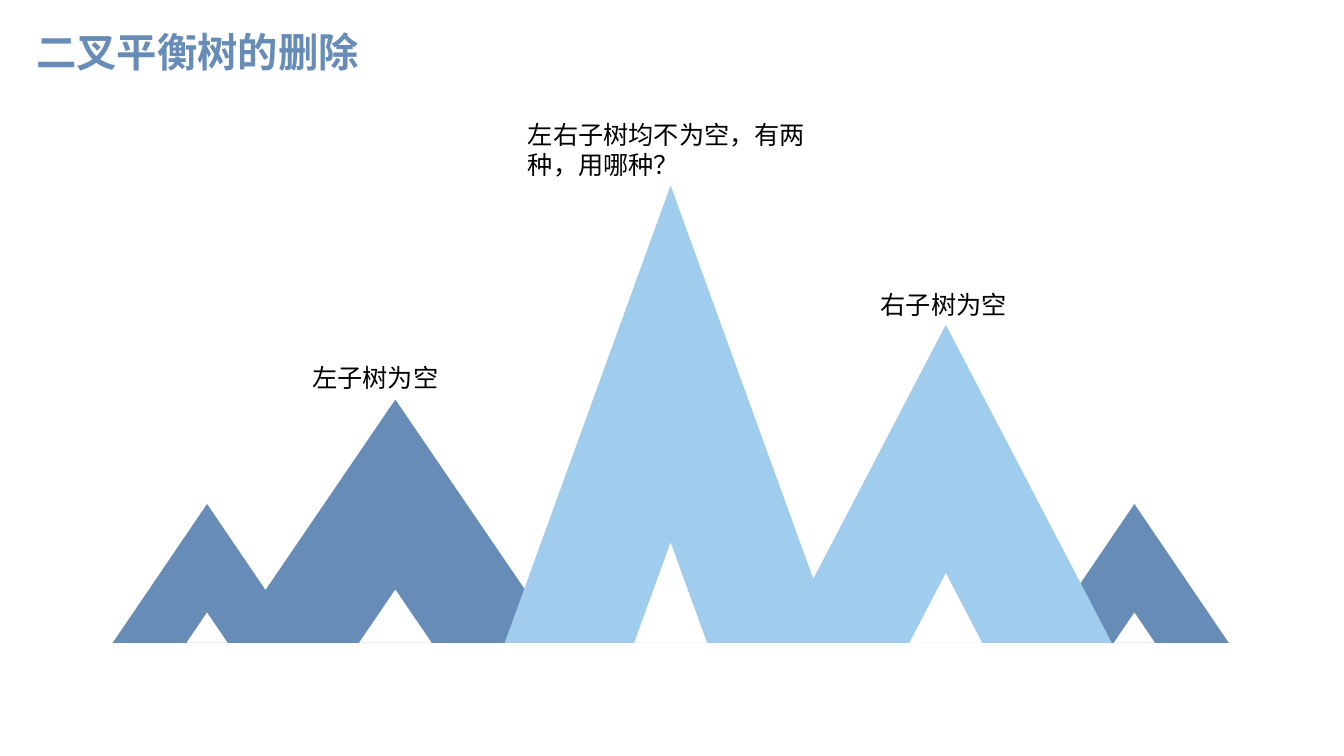
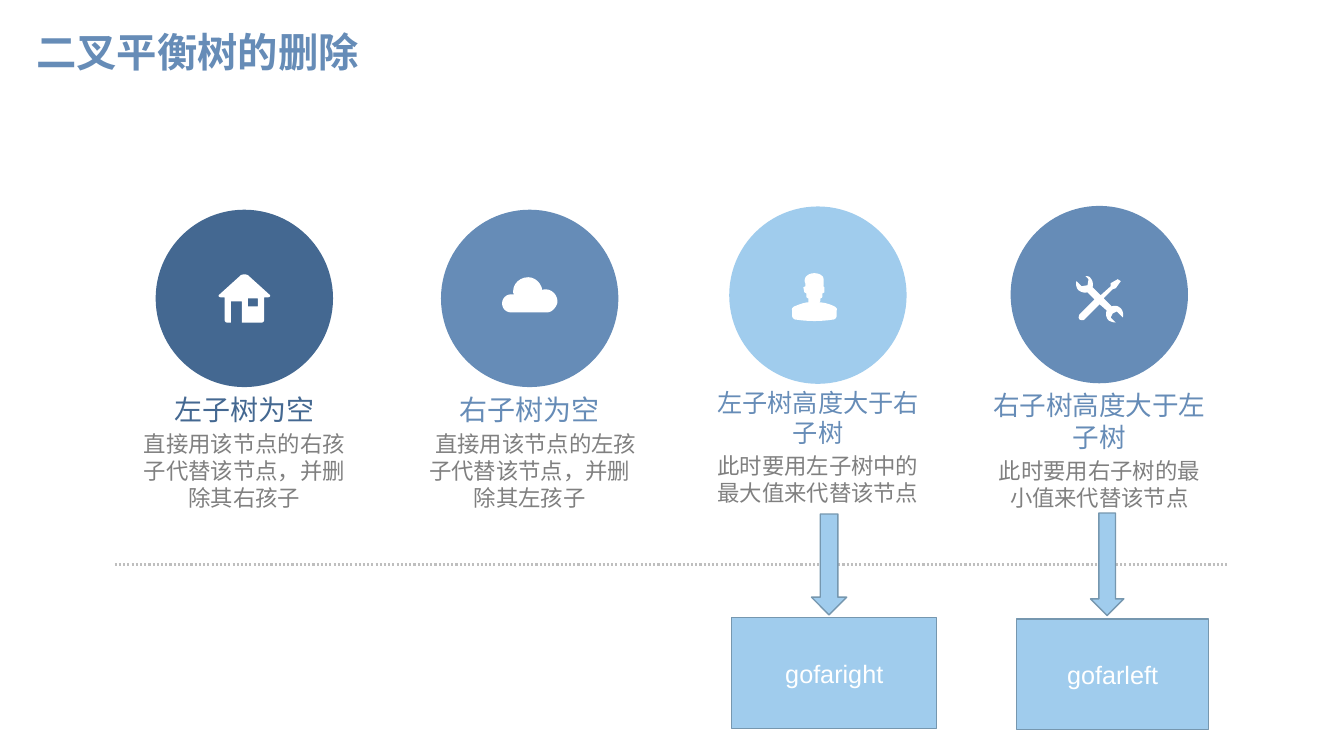
"""Builds two slides on deleting nodes from a balanced binary tree."""
from pptx import Presentation
from pptx.dml.color import RGBColor
from pptx.enum.dml import MSO_LINE
from pptx.enum.shapes import MSO_CONNECTOR, MSO_SHAPE
from pptx.enum.text import MSO_ANCHOR, MSO_AUTO_SIZE, PP_ALIGN
from pptx.oxml.ns import qn
from pptx.util import Pt
from lxml import etree

NAVY, BLUE, SKY, EDGE = "446891", "668CB7", "A0CCED", "7697AF"
WHITE, BLACK, GRAY, SILVER = "FFFFFF", "000000", "808080", "BFBFBF"
CJK = "Noto Sans CJK SC"

TITLE = "二叉平衡树的删除"
TITLE_BOX = (18.7, 16.6, 828, 44.6)
TITLE_FONT = {"name": "Montserrat", "size": Pt(28.8), "bold": True}
LABEL_FONT = {"name": "Arial", "size": Pt(18)}

BASE_Y = 459.2
HOLE_RATIO = 0.22
MOUNTAINS = [
    (810.3, 360, 67.4, BLUE),
    (147.9, 360, 67.4, BLUE),
    (282.4, 285.4, 118.5, BLUE),
    (479, 132.5, 118.5, SKY),
    (675.6, 232, 118.5, SKY),
]
PEAK_LABELS = [
    ("左子树为空", (216, 255.6, 107.3, 28.8)),
    ("右子树为空", (622, 203, 107.3, 28.8)),
    ("左右子树均不为空，有两种，用哪种？", (370, 81.4, 217.4, 51)),
]

HOUSE = [
    [(51, 20), (30, 1), (28, 0, 25, 0, 23, 1), (2, 20), (0, 21, 1, 23, 3, 23), (7, 23),
     (7, 46), (7, 47, 8, 48, 9, 48), (13, 48), (13, 27), (24, 27), (24, 48), (44, 48),
     (45, 48, 46, 47, 46, 46), (46, 23), (50, 23), (52, 23, 53, 21, 51, 20)],
    [(40, 32), (30, 32), (30, 24), (40, 24)],
]
CLOUD = [
    [(55, 24), (55, 18, 50, 12, 43, 12), (42, 12, 41, 12, 40, 13), (39, 6, 33, 0, 26, 0),
     (18, 0, 11, 6, 11, 14), (11, 15, 11, 16, 12, 17), (9, 17), (4, 17, 0, 21, 0, 26),
     (0, 31, 4, 35, 9, 35), (44, 35), (47, 35, 49, 34, 51, 32), (53, 30, 55, 27, 55, 24)],
]
PERSON = [
    [(43, 34), (39, 32, 33, 30, 28, 30), (29, 29, 29, 28, 29, 26), (30, 26, 31, 25, 31, 24),
     (31, 21), (33, 20), (33, 15), (32, 14), (32, 12, 33, 6, 31, 4), (27, 0, 19, 0, 15, 4),
     (13, 6, 13, 10, 14, 11), (14, 14), (12, 15), (13, 20), (15, 21), (15, 24),
     (15, 25, 16, 26, 17, 26), (17, 28, 17, 29, 17, 30), (13, 30, 8, 32, 3, 34),
     (1, 35, 0, 37, 1, 38), (1, 44), (1, 45, 3, 47, 4, 47), (17, 49, 29, 49, 42, 47),
     (43, 47, 45, 45, 45, 44), (45, 38), (46, 37, 45, 35, 43, 34)],
]
TOOLS = [
    [(45, 32), (42, 29, 39, 29, 36, 30), (28, 22), (37, 13), (40, 12), (45, 5), (42, 3),
     (35, 7), (35, 10), (25, 19), (17, 11), (18, 8, 17, 4, 15, 2), (14, 0, 12, 0, 10, 0),
     (13, 3), (12, 9), (6, 10), (1, 5), (0, 8, 1, 12, 3, 14), (6, 16, 9, 17, 12, 16),
     (19, 23), (4, 38), (3, 40, 3, 42, 4, 43), (6, 44, 8, 44, 9, 43), (24, 28), (31, 34),
     (30, 37, 30, 41, 33, 44), (35, 45, 37, 46, 40, 46), (35, 41), (37, 37), (41, 35),
     (47, 41), (48, 38, 47, 34, 45, 32)],
]
ICON_UNIT = 0.72
CURVE_STEPS = 6

CIRCLE_SIZE = 126.7
CIRCLE_INSET = 21.2
CASE_WIDTH, CASE_HEIGHT = 169.2, 94
CASES = [
    {"left": 90, "text_top": 276.5, "circle_top": 149.8, "fill": NAVY, "color": NAVY,
     "size": 20, "indent": 0, "icon": HOUSE, "icon_at": (155.5, 195.8),
     "heading": "左子树为空", "body": "直接用该节点的右孩子代替该节点，并删除其右孩子"},
    {"left": 293.8, "text_top": 276.5, "circle_top": 149.8, "fill": BLUE, "color": BLUE,
     "size": 20, "indent": 8.6, "icon": CLOUD, "icon_at": (358.6, 198),
     "heading": "右子树为空", "body": "直接用该节点的左孩子代替该节点，并删除其左孩子"},
    {"left": 499.7, "text_top": 272.9, "circle_top": 147.5, "fill": SKY, "color": BLUE,
     "size": 18, "indent": 0, "icon": PERSON, "icon_at": (565.2, 194.4),
     "heading": "左子树高度大于右子树", "body": "此时要用左子树中的最大值来代替该节点"},
    {"left": 700.7, "text_top": 274.3, "circle_top": 147.1, "fill": BLUE, "color": BLUE,
     "size": 19, "indent": 0, "icon": TOOLS, "icon_at": (768.2, 197.3),
     "heading": "右子树高度大于左子树", "body": "此时要用右子树的最小值来代替该节点"},
]
DIVIDER = (82, 403.2, 878, 403.2)
STEPS = [
    ("gofaright", (579.6, 367.2, 25.2, 72), (522.7, 441.2, 146.4, 79)),
    ("gofarleft", (779, 366.5, 23.8, 73.2), (726.2, 442.2, 137, 78.8)),
]


def color(value):
    return RGBColor.from_string(value)


def points(values):
    return [Pt(value) for value in values]


def apply(target, values):
    for name, value in values.items():
        setattr(target, name, value)


def write(paragraph, text, font, text_color, **layout):
    paragraph.text = text
    apply(paragraph, layout)
    apply(paragraph.font, font)
    paragraph.font.color.rgb = color(text_color)


def paint(shape, fill, line=None):
    shape.shadow.inherit = False
    shape.fill.solid()
    shape.fill.fore_color.rgb = color(fill)
    if line:
        shape.line.color.rgb = color(line)
        shape.line.width = Pt(1)
    else:
        shape.line.fill.background()


def add_shape(slide, kind, box, fill, line=None):
    shape = slide.shapes.add_shape(kind, *points(box))
    paint(shape, fill, line)
    return shape


def add_outline(slide, contours, fill):
    contours = [[points(corner) for corner in contour] for contour in contours]
    builder = slide.shapes.build_freeform(*contours[0][0], scale=1.0)
    for index, contour in enumerate(contours):
        if index:
            builder.move_to(*contour[0])
        builder.add_line_segments(contour[1:], close=True)
    paint(builder.convert_to_shape(), fill)


def add_text(slide, box):
    frame = slide.shapes.add_textbox(*points(box)).text_frame
    frame.word_wrap = True
    return frame


def add_titled_slide(presentation):
    slide = presentation.slides.add_slide(presentation.slide_layouts[5])
    title = slide.shapes.title
    apply(title, dict(zip(("left", "top", "width", "height"), points(TITLE_BOX))))
    apply(title.text_frame, {"vertical_anchor": MSO_ANCHOR.MIDDLE, "auto_size": MSO_AUTO_SIZE.NONE})
    write(title.text_frame.paragraphs[0], TITLE, TITLE_FONT, BLUE,
          alignment=PP_ALIGN.LEFT, line_spacing=0.9)
    return slide


def triangle(x, top, half_width):
    return [(x, top), (x + half_width, BASE_Y), (x - half_width, BASE_Y)]


def flatten(contour):
    corners = [contour[0]]
    for step in contour[1:]:
        if len(step) == 2:
            corners.append(step)
            continue
        controls = [corners[-1], step[:2], step[2:4], step[4:]]
        for index in range(1, CURVE_STEPS + 1):
            t = index / CURVE_STEPS
            weights = ((1 - t) ** 3, 3 * t * (1 - t) ** 2, 3 * t * t * (1 - t), t ** 3)
            corners.append(tuple(sum(w * c[axis] for w, c in zip(weights, controls))
                                 for axis in (0, 1)))
    return corners


def add_icon(slide, icon, origin):
    add_outline(slide, [[(origin[0] + x * ICON_UNIT, origin[1] + y * ICON_UNIT)
                         for x, y in flatten(contour)] for contour in icon], WHITE)


def add_case(slide, case):
    frame = add_text(slide, (case["left"], case["text_top"], CASE_WIDTH, CASE_HEIGHT))
    write(frame.paragraphs[0], case["heading"], {"name": CJK, "size": Pt(case["size"])},
          case["color"], alignment=PP_ALIGN.CENTER)
    body = frame.add_paragraph()
    write(body, case["body"], {"name": CJK, "size": Pt(16)}, GRAY,
          alignment=PP_ALIGN.CENTER, space_before=Pt(3.2))
    if case["indent"]:
        body._p.get_or_add_pPr().set("indent", str(Pt(case["indent"])))
    add_shape(slide, MSO_SHAPE.OVAL, (case["left"] + CIRCLE_INSET, case["circle_top"],
                                      CIRCLE_SIZE, CIRCLE_SIZE), case["fill"])
    add_icon(slide, case["icon"], case["icon_at"])


def add_divider(slide):
    divider = slide.shapes.add_connector(MSO_CONNECTOR.STRAIGHT, *points(DIVIDER))
    divider.line.color.rgb = color(SILVER)
    apply(divider.line, {"width": Pt(1.5), "dash_style": MSO_LINE.ROUND_DOT})
    etree.SubElement(divider._element.spPr, qn("a:effectLst"))


def build_mountains(presentation):
    slide = add_titled_slide(presentation)
    for x, top, half_width, fill in MOUNTAINS:
        hole_top = BASE_Y - (BASE_Y - top) * HOLE_RATIO
        add_outline(slide, [triangle(x, top, half_width),
                            triangle(x, hole_top, half_width * HOLE_RATIO)], fill)
    for text, box in PEAK_LABELS:
        write(add_text(slide, box).paragraphs[0], text, LABEL_FONT, BLACK)


def build_cases(presentation):
    slide = add_titled_slide(presentation)
    for case in CASES:
        add_case(slide, case)
    add_divider(slide)
    for text, arrow_box, step_box in STEPS:
        add_shape(slide, MSO_SHAPE.DOWN_ARROW, arrow_box, SKY, EDGE)
        step = add_shape(slide, MSO_SHAPE.RECTANGLE, step_box, SKY, EDGE)
        step.text_frame.vertical_anchor = MSO_ANCHOR.MIDDLE
        write(step.text_frame.paragraphs[0], text, LABEL_FONT, WHITE, alignment=PP_ALIGN.CENTER)


def main():
    presentation = Presentation()
    apply(presentation, {"slide_width": Pt(960), "slide_height": Pt(540)})
    build_mountains(presentation)
    build_cases(presentation)
    presentation.save("out.pptx")


if __name__ == "__main__":
    main()
